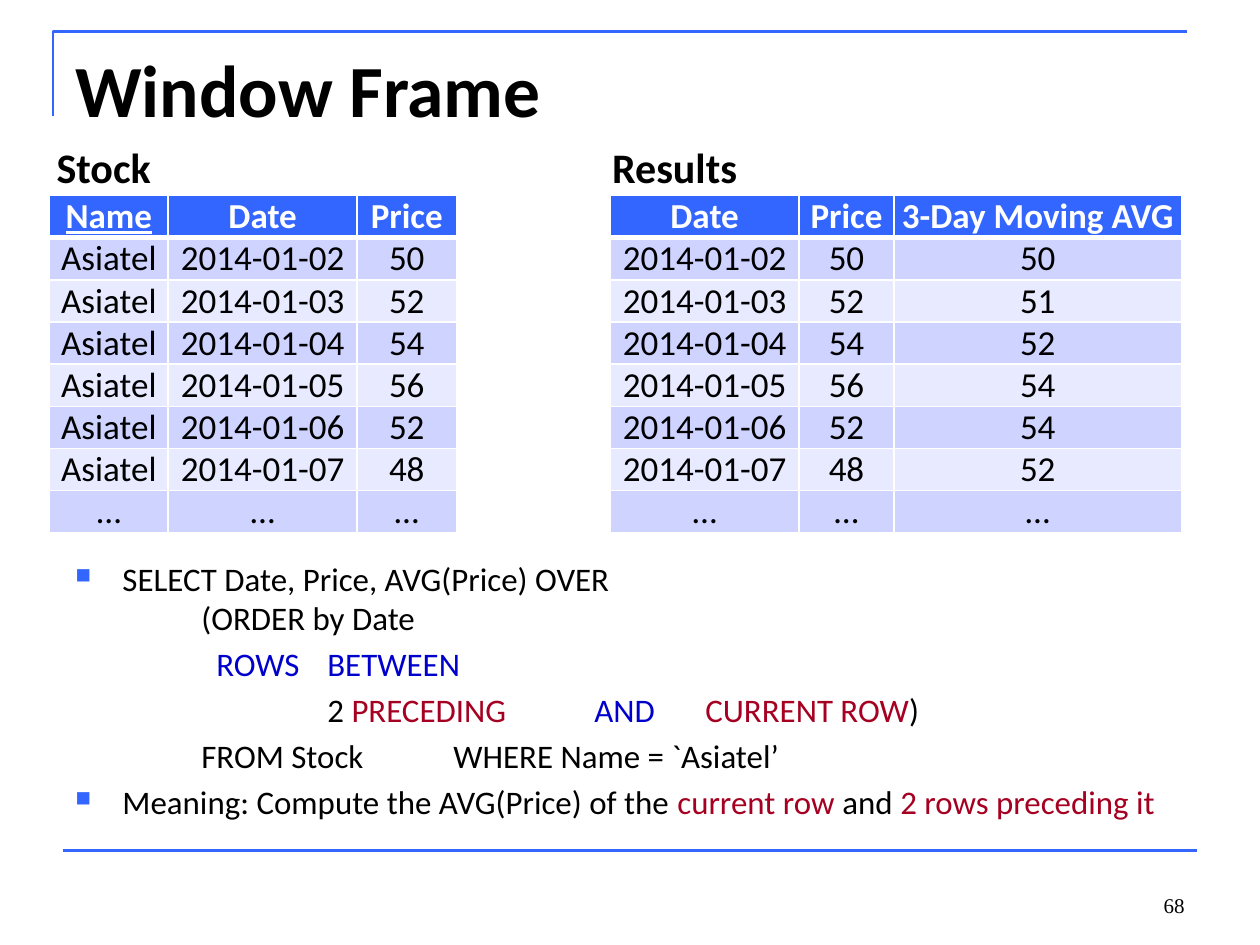
from dataclasses import dataclass

from lxml import etree
from pptx import Presentation
from pptx.dml.color import RGBColor
from pptx.enum import shapes, text
from pptx.oxml.ns import qn
from pptx.util import Cm, Pt


@dataclass(frozen=True)
class Theme:
    font: str = "Calibri"
    number_font: str = "Times New Roman"
    accent: str = "3366FF"
    ink: str = "000000"
    white: str = "FFFFFF"
    bands: tuple = ("CED3FF", "E8EAFF")
    keyword: str = "0000CC"
    emphasis: str = "A50021"
    title_size: float = 42
    heading_size: float = 24
    table_size: float = 20
    body_size: float = 18.8
    number_size: float = 12


THEME = Theme()


@dataclass(frozen=True)
class Box:
    left: float
    top: float
    width: float
    height: float

    def lengths(self) -> list:
        return [Cm(v) for v in (self.left, self.top, self.width, self.height)]


@dataclass(frozen=True)
class Grid:
    heading: str
    heading_left: float
    left: float
    widths: tuple
    rows: list
    underlined: str = ""


@dataclass(frozen=True)
class Line:
    """A body paragraph: (text, colour) runs; a newline in a run breaks the line."""
    runs: tuple
    bullet: bool = False


TABLE_TOP, ROW_HEIGHT = 3.94, 0.85
HEADING_TOP, HEADING_WIDTH, HEADING_HEIGHT = 2.72, 3.48, 1.27
DATES = [f"2014-01-{day:02d}" for day in range(2, 8)] + ["…"]
PRICES = ["50", "52", "54", "56", "52", "48", "…"]
AVERAGES = ["50", "51", "52", "54", "54", "52", "…"]
NAMES = ["Asiatel"] * 6 + ["…"]

GRIDS = [
    Grid("Stock", 0.89, 1.0, (2.39, 3.81, 2.0),
         [("Name", "Date", "Price"), *zip(NAMES, DATES, PRICES)], "Name"),
    Grid("Results", 12.09, 12.3, (3.81, 1.91, 5.8),
         [("Date", "Price", "3-Day Moving AVG"), *zip(DATES, PRICES, AVERAGES)]),
]

INK, KEY, EMPH = THEME.ink, THEME.keyword, THEME.emphasis
BODY = [
    Line((("SELECT Date, Price, AVG(Price) OVER \n\t(ORDER by Date", INK),), True),
    Line((("\t  ", INK), ("ROWS \tBETWEEN", KEY))),
    Line((("\t\t2 ", INK), ("PRECEDING \t  ", EMPH), ("AND \t", KEY),
          ("CURRENT ROW", EMPH), (")", INK))),
    Line((("\tFROM Stock\tWHERE Name = `Asiatel’", INK),)),
    Line((("Meaning: Compute the AVG(Price) of the ", INK), ("current row ", EMPH),
          ("and ", INK), ("2 rows preceding it", EMPH)), True),
]


def set_font(font, color: str, **values) -> None:
    for name, value in ({"name": THEME.font} | values).items():
        setattr(font, name, value)
    font.color.rgb = RGBColor.from_string(color)


def add_text_frame(s, box: Box):
    tf = s.shapes.add_textbox(*box.lengths()).text_frame
    tf.word_wrap = True
    return tf


def add_label(s, box: Box, words: str, color: str = THEME.ink, **font):
    tf = add_text_frame(s, box)
    r = tf.paragraphs[0].add_run()
    r.text = words
    set_font(r.font, color, **font)
    return tf


def add_rules(s) -> None:
    """Draw the corner above the title and the line above the footer."""
    fb = s.shapes.build_freeform(Cm(1.07), Cm(2.34))
    fb.add_line_segments([(Cm(1.07), Cm(0.64)), (Cm(23.93), Cm(0.64))], close=False)
    corner = fb.convert_to_shape()
    corner.shadow.inherit = False
    corner.fill.background()
    rule = s.shapes.add_connector(shapes.MSO_CONNECTOR.STRAIGHT,
                                  Cm(1.27), Cm(17.15), Cm(24.13), Cm(17.15))
    etree.SubElement(rule._element.spPr, qn("a:effectLst"))
    for sp in (corner, rule):
        sp.line.color.rgb = RGBColor.from_string(THEME.accent)
        sp.line.width = Pt(1.5)


def set_borders(cell, bottom: float, top: float) -> None:
    tc_pr = cell._tc.get_or_add_tcPr()
    for i, (side, width) in enumerate({"L": 1, "R": 1, "T": top, "B": bottom}.items()):
        ln = etree.Element(qn(f"a:ln{side}"), w=str(Pt(width)))
        fill = etree.SubElement(ln, qn("a:solidFill"))
        etree.SubElement(fill, qn("a:srgbClr"), val=THEME.white)
        tc_pr.insert(i, ln)


def add_grid(s, grid: Grid) -> None:
    add_label(s, Box(grid.heading_left, HEADING_TOP, HEADING_WIDTH, HEADING_HEIGHT),
              grid.heading, size=Pt(THEME.heading_size), bold=True)
    count = len(grid.rows)
    box = Box(grid.left, TABLE_TOP, sum(grid.widths), count * ROW_HEIGHT)
    table = s.shapes.add_table(count, len(grid.widths), *box.lengths()).table
    for column, width in zip(table.columns, grid.widths):
        column.width = Cm(width)
    for i, values in enumerate(grid.rows):
        table.rows[i].height = Cm(ROW_HEIGHT)
        header = i == 0
        for j, value in enumerate(values):
            cell = table.cell(i, j)
            for side in ("left", "right", "top", "bottom"):
                setattr(cell, f"margin_{side}", 0)
            cell.vertical_anchor = text.MSO_ANCHOR.MIDDLE
            cell.fill.solid()
            fill = THEME.accent if header else THEME.bands[(i - 1) % 2]
            cell.fill.fore_color.rgb = RGBColor.from_string(fill)
            set_borders(cell, bottom=3 if header else 1, top=3 if i == 1 else 1)
            p = cell.text_frame.paragraphs[0]
            p.alignment = text.PP_ALIGN.CENTER
            r = p.add_run()
            r.text = value
            set_font(r.font, THEME.white if header else THEME.ink,
                     size=Pt(THEME.table_size), bold=header,
                     underline=header and value == grid.underlined)


def set_indent(p, bullet: bool) -> None:
    p_pr = p._p.get_or_add_pPr()
    hang = Cm(0.95) if bullet else 0
    for name, value in {"marL": hang, "indent": -hang, "defTabSz": Cm(2.54)}.items():
        p_pr.set(name, str(value))
    if bullet:
        color = etree.SubElement(p_pr, qn("a:buClr"))
        etree.SubElement(color, qn("a:srgbClr"), val=THEME.accent)
        etree.SubElement(p_pr, qn("a:buSzPct"), val="65000")
        etree.SubElement(p_pr, qn("a:buChar"), char="■")
    else:
        etree.SubElement(p_pr, qn("a:buNone"))


def add_body(s, box: Box, lines: list) -> None:
    tf = add_text_frame(s, box)
    for i, line in enumerate(lines):
        p = tf.add_paragraph() if i else tf.paragraphs[0]
        set_indent(p, line.bullet)
        if i:
            p.space_before = Pt(0.2 * THEME.body_size)
        set_font(p.font, THEME.ink, size=Pt(THEME.body_size))
        for words, color in line.runs:
            for k, part in enumerate(words.split("\n")):
                if k:
                    p.add_line_break()
                r = p.add_run()
                r.text = part
                set_font(r.font, color, size=Pt(THEME.body_size))


def main() -> None:
    prs = Presentation()
    prs.slide_width, prs.slide_height = Cm(25.4), Cm(19.05)
    s = prs.slides.add_slide(prs.slide_layouts[6])
    add_rules(s)
    add_label(s, Box(1.27, 0.76, 22.86, 3.18), "Window Frame",
              size=Pt(THEME.title_size), bold=True)
    add_body(s, Box(1.27, 11.13, 22.86, 5.89), BODY)
    for grid in GRIDS:
        add_grid(s, grid)
    number = add_label(s, Box(18.21, 17.35, 5.92, 1.27), "68",
                       name=THEME.number_font, size=Pt(THEME.number_size))
    number.vertical_anchor = text.MSO_ANCHOR.BOTTOM
    number.paragraphs[0].alignment = text.PP_ALIGN.RIGHT
    prs.save("out.pptx")


if __name__ == "__main__":
    main()
